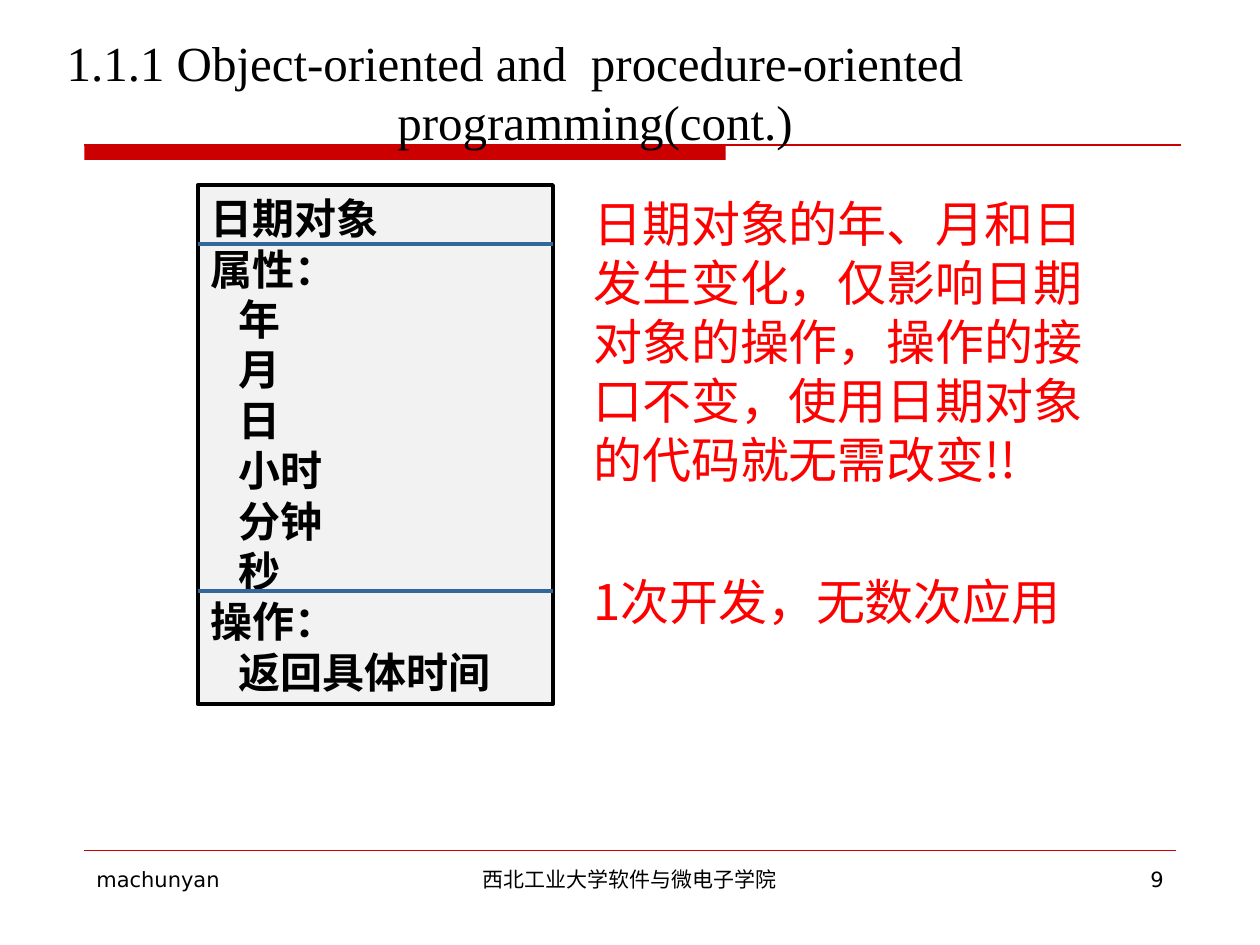
import pptx
import pptx.util
import pptx.dml.color
import pptx.enum.shapes
import pptx.enum.text
import pptx.oxml.ns
import lxml.etree

Pt = pptx.util.Pt
Align = pptx.enum.text.PP_ALIGN
qn = pptx.oxml.ns.qn

TITLE = "1.1.1 Object-oriented and  procedure-oriented programming(cont.)"
DATE_CLASS = [
    ("日期对象", 0), ("属性：", 0), ("年", 1), ("月", 1), ("日", 1), ("小时", 1),
    ("分钟", 1), ("秒", 1), ("操作：", 0), ("返回具体时间", 1),
]
REMARKS = [
    "日期对象的年、月和日发生变化，仅影响日期对象的操作，操作的接口不变，使用日期对象的代码就无需改变!!",
    "1次开发，无数次应用",
]
FOOTERS = [
    ("machunyan", 48, 156, Align.LEFT),
    ("西北工业大学软件与微电子学院", 246, 228, Align.CENTER),
    ("9", 516, 156, Align.RIGHT),
]
RED, BLUE, BLACK = "CC0000", "336699", "000000"
CLASS_LEFT, CLASS_TOP, CLASS_WIDTH, CLASS_HEIGHT = 113, 105.8, 203, 296.6
DIVIDERS = [139.7, 337.7]
LINE_RATIO = 1.2


def color(value):
    return pptx.dml.color.RGBColor.from_string(value)


def add_rectangle(page, left, top, width, height, fill):
    shape = page.shapes.add_shape(
        pptx.enum.shapes.MSO_SHAPE.RECTANGLE, Pt(left), Pt(top), Pt(width), Pt(height))
    shape.shadow.inherit = False
    shape.fill.solid()
    shape.fill.fore_color.rgb = color(fill)
    shape.line.fill.background()
    return shape


def add_rule(page, left, right, y, line_color, width):
    rule = page.shapes.add_connector(
        pptx.enum.shapes.MSO_CONNECTOR.STRAIGHT, Pt(left), Pt(y), Pt(right), Pt(y))
    rule.line.color.rgb = color(line_color)
    rule.line.width = Pt(width)
    lxml.etree.SubElement(rule._element.spPr, qn("a:effectLst"))


def add_box(page, left, top, width, height):
    box = page.shapes.add_textbox(Pt(left), Pt(top), Pt(width), Pt(height))
    box.text_frame.word_wrap = True
    return box


def add_text(box, index, text, size, font, text_color=BLACK, bold=False,
             align=Align.LEFT, margin=0, indent=0, before=0, line=None):
    frame = box.text_frame
    para = frame.paragraphs[0] if index == 0 else frame.add_paragraph()
    para.alignment = align
    para.space_before = Pt(before)
    if line:
        para.line_spacing = Pt(line)
    properties = para._p.get_or_add_pPr()
    properties.set("marL", str(Pt(margin)))
    properties.set("indent", str(Pt(indent)))
    span = para.add_run()
    span.text = text
    span.font.size = Pt(size)
    span.font.name = font
    span.font.bold = bold
    span.font.color.rgb = color(text_color)
    east_asian = lxml.etree.SubElement(span._r.get_or_add_rPr(), qn("a:ea"))
    east_asian.set("typeface", font)


def main():
    deck = pptx.Presentation()
    deck.slide_width, deck.slide_height = Pt(720), Pt(540)
    page = deck.slides.add_slide(deck.slide_layouts[6])

    add_rectangle(page, 48.2, 82.8, 366.5, 8.6, RED)
    add_rule(page, 48.2, 674.6, 82.8, RED, 0.75)
    add_rule(page, 48.2, 671.8, 486, RED, 0.25)

    for text, left, width, align in FOOTERS:
        box = add_box(page, left, 491.8, width, 37.4)
        add_text(box, 0, text, 12, "DejaVu Sans", align=align)

    title = add_box(page, 31, 15.1, 569.5, 74.9)
    add_text(title, 0, TITLE, 28, "Times New Roman", margin=189, indent=-189,
             line=28 * LINE_RATIO)

    date_class = add_rectangle(
        page, CLASS_LEFT, CLASS_TOP, CLASS_WIDTH, CLASS_HEIGHT, "F2F2F2")
    date_class.line.color.rgb = color(BLACK)
    date_class.line.width = Pt(2.25)
    date_class.text_frame.word_wrap = True
    date_class.text_frame.vertical_anchor = pptx.enum.text.MSO_ANCHOR.MIDDLE
    for index, (text, level) in enumerate(DATE_CLASS):
        add_text(date_class, index, text, 24, "Noto Sans CJK SC", bold=True,
                 margin=16 * level, line=24 * LINE_RATIO)
    for y in DIVIDERS:
        add_rule(page, CLASS_LEFT, CLASS_LEFT + CLASS_WIDTH, y, BLUE, 2.25)

    remarks = add_box(page, 331.9, 107.3, 317.5, 297.4)
    for index, text in enumerate(REMARKS):
        add_text(remarks, index, text, 28, "Noto Sans CJK JP", "FF0000",
                 before=47.6 * index, line=28 * LINE_RATIO)

    deck.save("out.pptx")


if __name__ == "__main__":
    main()
